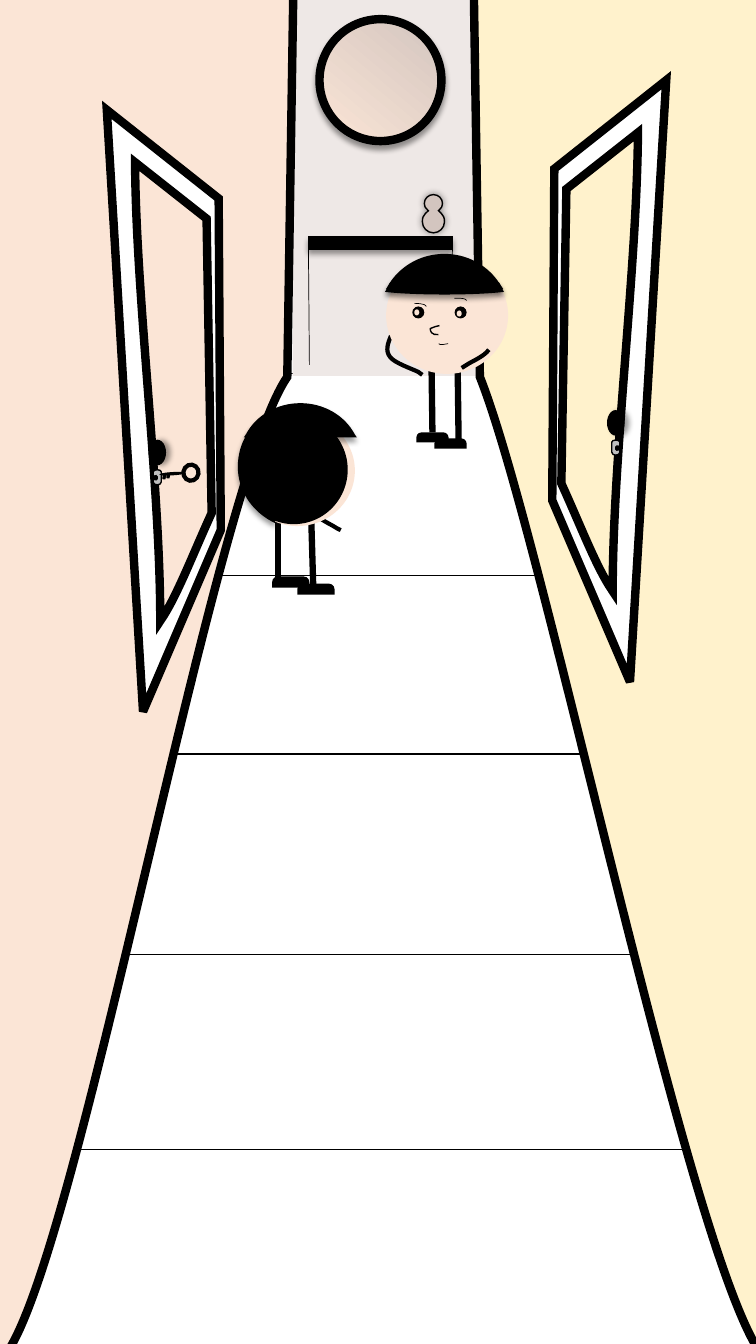
from dataclasses import dataclass
from typing import Optional, Union
import lxml.etree
import pptx
import pptx.dml.color
import pptx.enum.shapes
import pptx.oxml.ns
import pptx.util

Pt, qn, RGB = pptx.util.Pt, pptx.oxml.ns.qn, pptx.dml.color.RGBColor
KIND = pptx.enum.shapes.MSO_SHAPE
SHOE = KIND.ROUND_2_SAME_RECTANGLE
BLACK = RGB(0x00, 0x00, 0x00)
WHITE = RGB(0xFF, 0xFF, 0xFF)
GREY = RGB(0xBF, 0xBF, 0xBF)
STONE = RGB(0xEE, 0xE8, 0xE6)
TAUPE = RGB(0xD3, 0xC5, 0xBF)
PEACH = RGB(0xFB, 0xE5, 0xD6)
CREAM = RGB(0xFF, 0xF2, 0xCC)
SIZE = {"M": 1, "L": 1, "C": 3}
Point = tuple[float, float]


@dataclass
class Glow:
    """A soft black shadow."""
    angle: int
    blur: float = 4
    shift: float = 3


@dataclass
class Form:
    kind: KIND
    box: tuple[float, float, float, float]
    fill: Optional[RGB] = None
    line: float = 0
    turn: float = 0
    glow: Optional[Glow] = None


@dataclass
class Path:
    """An outline in M, L and C commands; it is closed when filled."""
    steps: str
    fill: Optional[RGB] = None
    line: float = 0
    glow: Optional[Glow] = None


@dataclass
class Leg:
    start: Point
    end: Point
    line: float = 4.5


Item = Union[Form, Path, Leg]
DOWN = Glow(90)


def node(parent, tag: str, **values):
    return lxml.etree.SubElement(parent, qn("a:" + tag), {k: str(v) for k, v in values.items()})


def bend(a: Point, b: Point, c: Point, d: Point) -> list[Point]:
    """Points on a cubic curve after its start."""
    mixes = [((1 - t) ** 3, 3 * t * (1 - t) ** 2, 3 * t * t * (1 - t), t ** 3)
             for t in (i / 8 for i in range(1, 9))]
    return [tuple(round(sum(m * p[k] for m, p in zip(mix, (a, b, c, d)))) for k in (0, 1))
            for mix in mixes]


def trace(steps: str, spot) -> list[list[tuple]]:
    """Split steps into contours of one-point (line) and three-point (curve) parts."""
    runs, nums, points, mode = [], [], [], "M"
    for word in steps.split():
        if word in SIZE:
            mode = word
            continue
        nums.append(float(word))
        if len(nums) == 2:
            points.append(spot(*nums))
            nums = []
        if len(points) == SIZE[mode]:
            if mode == "M":
                runs.append([])
            runs[-1].append(tuple(points))
            points = []
    return runs


def outline(shapes, runs: list[list[tuple]], close: bool):
    """Size a freeform by points along its curves, then give it the true curves."""
    pen = shapes.build_freeform(*runs[0][0][0])
    for run in runs:
        flat = [run[0][0]]
        for part in run[1:]:
            flat += bend(flat[-1], *part) if len(part) == 3 else part
        if run is not runs[0]:
            pen.move_to(*flat[0])
        pen.add_line_segments(flat[1:], close=close)
    shape = pen.convert_to_shape()
    track = shape._element.spPr.find(".//" + qn("a:path"))
    for child in list(track):
        track.remove(child)
    for run in runs:
        for i, part in enumerate(run):
            step = node(track, "cubicBezTo" if len(part) == 3 else "lnTo" if i else "moveTo")
            for x, y in part:
                node(step, "pt", x=x - shape.left, y=y - shape.top)
        if close:
            node(track, "close")
    return shape


def style(shape, item: Item) -> None:
    if not isinstance(item, Leg):
        shape.fill.background()
        if item.fill is not None:
            shape.fill.solid()
            shape.fill.fore_color.rgb = item.fill
    if item.line:
        shape.line.width = Pt(item.line)
        shape.line.color.rgb = BLACK
        node(shape.line._ln, "miter", lim=800000)
    else:
        shape.line.fill.background()
    effect = node(shape._element.spPr, "effectLst")
    glow = getattr(item, "glow", None)
    if glow:
        cast = node(effect, "outerShdw", blurRad=Pt(glow.blur), dist=Pt(glow.shift),
                    dir=glow.angle * 60000, algn="ctr", rotWithShape=0)
        node(node(cast, "srgbClr", val="000000"), "alpha", val=40000)


def add(shapes, item: Item, axis: float = 0, drop: float = 0):
    """Draw one item; a non-zero axis mirrors it, so x becomes axis - x."""
    def spot(x: float, y: float) -> tuple[int, int]:
        return Pt(axis - x if axis else x), Pt(y + drop)

    if isinstance(item, Leg):
        line = pptx.enum.shapes.MSO_CONNECTOR.STRAIGHT
        shape = shapes.add_connector(line, *spot(*item.start), *spot(*item.end))
    elif isinstance(item, Form):
        x, y, w, h = item.box
        shape = shapes.add_shape(item.kind, *spot(x + w if axis else x, y), Pt(w), Pt(h))
        shape.rotation = item.turn
        if item.kind == SHOE:
            shape.adjustments[0], shape.adjustments[1] = 0.5, 0
    else:
        shape = outline(shapes, trace(item.steps, spot), item.fill is not None)
    style(shape, item)
    return shape


def group(slide, items: list[Item], axis: float = 0, drop: float = 0) -> None:
    shapes = slide.shapes.add_group_shape().shapes
    for item in items:
        add(shapes, item, axis, drop)


def wall(fill: RGB, knee: str) -> Path:
    return Path(f"M 5.8 -77.8 L 209.5 -3.6 205.2 269.3 C {knee} 57.6 889.2 5 966.2 -27.4 994.3 -155.5 639.4 -195.1 546.5 "
                "-234.7 452.9 -186.5 122.4 -187.9 31.7 -195.1 -69.8 -26.6 -61.2 5.8 -77.8", fill, 6)


def door(fill: RGB) -> list[Item]:
    return [
        Path("M 76.3 78.5 L 156.2 141.8 157.7 378.7 102.2 508.3", WHITE, 6),
        Path("M 96.5 115.9 L 147.6 156.2 151.2 366.5 C 136.8 398.2 126 427 114.5 443.5 114.5 345.6 97.2 213.8 96.5 115.9", fill, 6),
        Form(KIND.OVAL, (106.6, 314.6, 11.5, 17.3), BLACK, 1, glow=Glow(0)),
        Path("M 111.6 339.8 C 110.9 339.8 110.2 339.8 110.2 340.6 L 110.2 342 C 110.2 342.7 110.9 342.7 111.6 342.7 "
             "112.3 342.7 112.3 342.7 112.3 342 L 112.3 340.6 C 112.3 339.8 112.3 339.8 111.6 339.8 "
             "M 112.3 335.5 C 113.8 335.5 115.2 336.2 115.2 337 L 115.2 344.2 C 115.2 345.6 113.8 346.3 112.3 346.3 "
             "110.9 346.3 109.4 345.6 109.4 344.2 L 109.4 337 C 109.4 336.2 110.9 335.5 112.3 335.5", GREY, 1)]


TILES = [(71, 267, 381), (41, 411, 421), (19.5, 538.5, 485), (-23, 682, 547), (-59, 821, 600)]
FLOOR = [Form(KIND.RECTANGLE, (x, y, w, 144), WHITE, 1) for x, y, w in TILES]
KEY = [Form(KIND.OVAL, (131, 331.9, 10.8, 11.5), None, 3, 8.4),
       Form(KIND.OVAL, (115.2, 337.7, 15.8, 1.4), BLACK, 1, 356.3),
       *(Form(KIND.ROUNDED_RECTANGLE, (x, y, 1.4, 2.9), BLACK, 1, 8.4) for x, y in ((116.6, 339.1), (119.5, 338.4)))]
BACK = [
    Path("M 226.8 355 C 225.4 359.3 223.2 362.9 225.4 367.2 227.5 370.8 237.6 375.1 240.5 377.3 L 243.4 378.7", None, 3),
    Leg((198.7, 367.2), (198.7, 416.2)), Leg((221.8, 352.8), (223.9, 423.4)),
    Form(KIND.OVAL, (171.4, 296.6, 82.1, 79.2), PEACH),
    *(Form(SHOE, (x, y, 26.6, 7.9), BLACK) for x, y in ((212.4, 416.9), (194.4, 411.8))),
    Path("M 214.6 288 C 198 288 182.9 296.6 175.7 310.3 L 174.2 312.5 254.9 312.5 253.4 310.3 "
         "C 246.2 296.6 231.1 288 214.6 288", BLACK, glow=DOWN),
    Path("M 169.9 333.4 C 169.9 349.9 179.3 364.3 193.7 372.2 L 196.6 373.7 196.6 293 193.7 294.5 "
         "C 179.3 301.7 169.9 316.1 169.9 333.4", BLACK, glow=DOWN),
    Form(KIND.OVAL, (171.4, 296.6, 77, 77.8), BLACK)]
FRONT = [
    Path("M 279.4 239.8 C 277.2 244.8 275 250.6 278.6 254.9 281.5 259.2 294.5 263.5 298.8 265.7 L 301.7 267.8", None, 3),
    Leg((308.2, 257.8), (308.9, 308.9)), Leg((326.9, 262.1), (327.6, 316.8)),
    Form(KIND.OVAL, (275.8, 183.6, 87.1, 83.5), PEACH),
    *(Form(SHOE, (x, y, 23, 7.2), BLACK) for x, y in ((310.3, 313.2), (297.4, 308.9))),
    Path("M 349.2 249.8 C 345.6 254.9 336.2 258.5 333.4 260.6 L 329.8 262.8", None, 3),
    Path("M 313.9 232.6 L 311 233.3 307.4 234.7 C 307.4 235.4 307.4 236.9 308.2 237.6 309 239 311 239 313.2 239", None, 1),
    *(Form(KIND.OVAL, (x, 218.9, 8.6, 8.6), BLACK) for x in (294.5, 324.7)),
    *(Form(KIND.OVAL, (x, y, 3.6, 4.3), PEACH) for x, y in ((295.9, 221), (326.2, 221.8))),
    Path("M 317.5 202.3 C 302.4 202.3 289.4 203 281.5 203.8 L 280.1 203.8 278.6 206.6 C 286.6 207.4 301 208.1 317.5 208.1 "
         "334.1 208.1 348.5 207.4 356.4 206.6 L 355 203.8 C 345.6 203 332.6 202.3 317.5 202.3", BLACK, 4.5, DOWN),
    Path("M 317.5 183.6 C 302.4 183.6 289.4 190.8 281.5 201.6 L 280.1 203.8 C 289.4 203 302.4 202.3 317.5 202.3 "
         "332.6 202.3 345.6 203 355 203.8 L 353.5 201.6 C 345.6 190.8 332.6 183.6 317.5 183.6", BLACK, 4.5, DOWN),
    *(Form(KIND.ARC, box, None, 0.5, turn) for box, turn in (
        ((287.3, 216.7, 17.3, 4.3), 0), ((316.1, 213.1, 17.3, 4.3), 355.8), ((313.2, 242.6, 13, 2.9), 166.8)))]
VASE = Path("M 309.6 139 C 313.2 139 316.1 141.8 316.1 145.4 316.1 146.9 315.4 149 313.9 149.8 L 313.2 150.5 315.4 152.6 "
            "C 316.8 154.1 317.5 155.5 317.5 158.4 317.5 162.7 313.9 166.3 309.6 166.3 305.3 166.3 301.7 162.7 301.7 158.4 "
            "301.7 155.5 302.4 154.1 303.8 152.6 L 306 150.5 305.3 149.8 C 303.8 149 303.1 146.9 303.1 145.4 "
            "303.1 141.8 306 139 309.6 139", TAUPE, 1, Glow(0, 5, 0))


def main() -> None:
    deck = pptx.Presentation()
    deck.slide_width, deck.slide_height = Pt(540), Pt(960)
    slide = deck.slides.add_slide(deck.slide_layouts[6])
    shapes = slide.shapes
    group(slide, FLOOR)
    add(shapes, Path("M 210 0 L 355 0 355 268.5 209 268.5", STONE))
    add(shapes, wall(CREAM, "159.8 383"), axis=548)
    add(shapes, wall(PEACH, "152.6 345.6"))
    group(slide, door(PEACH))
    group(slide, KEY)
    shelf = add(shapes, Form(KIND.RECTANGLE, (220.3, 169.2, 103, 8.6), BLACK, 1, glow=DOWN))
    for side, foot in ((1, (221, 260.6)), (3, (321.1, 259.9))):
        add(shapes, Leg(foot, foot, 0.5)).begin_connect(shelf, side)
    glass = add(shapes, Form(KIND.OVAL, (228.2, 13.7, 87.1, 87.1), TAUPE, 6, glow=DOWN))
    glass.fill.gradient()
    glass.fill.gradient_angle = 230
    for stop, color in zip(glass.fill.gradient_stops, (TAUPE, PEACH)):
        stop.color.rgb = color
    group(slide, door(CREAM), axis=552.2, drop=-21.2)
    group(slide, BACK)
    group(slide, FRONT)
    add(shapes, VASE)
    deck.save("out.pptx")


if __name__ == "__main__":
    main()
